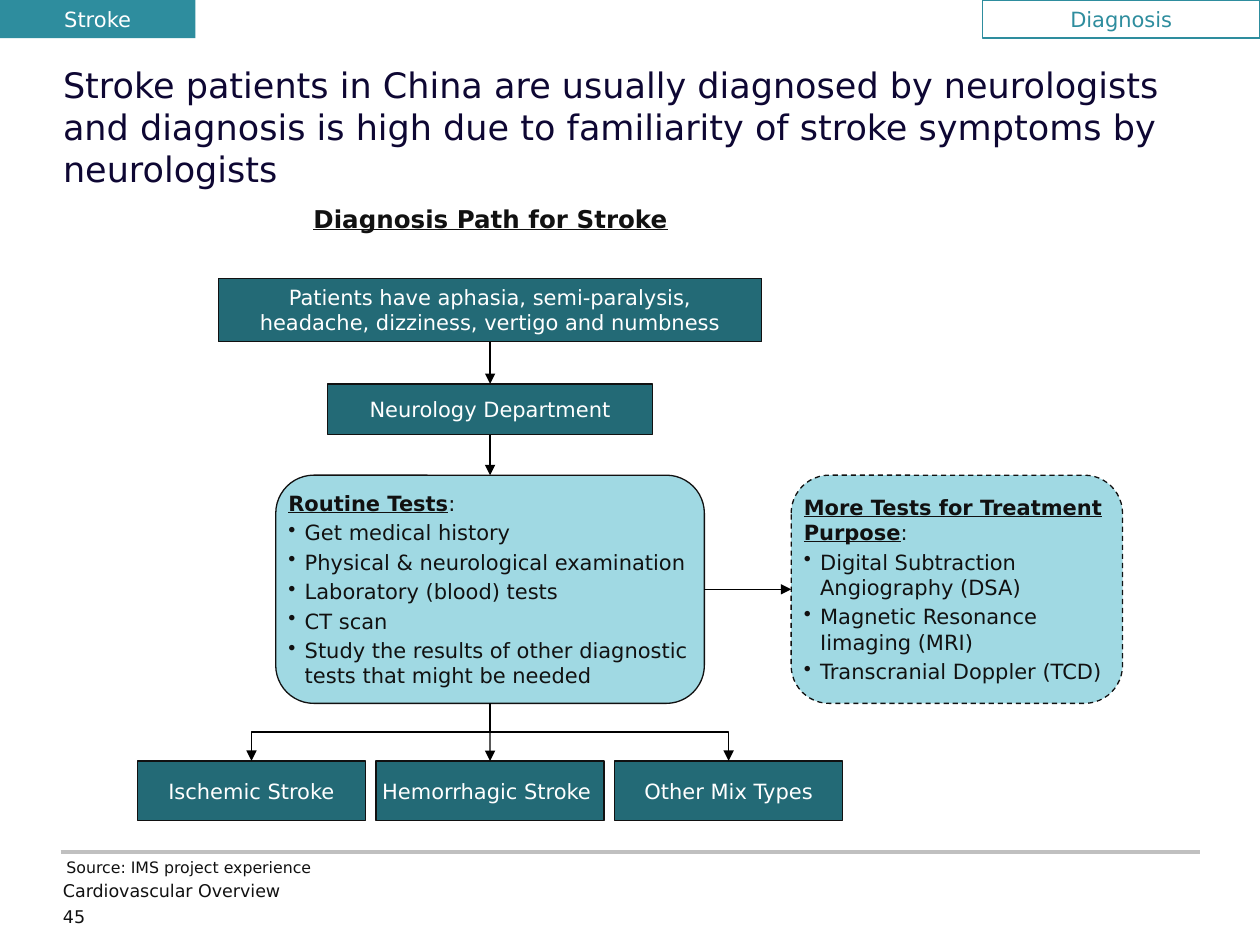
from typing import NamedTuple, Optional

from pptx import Presentation
from pptx.dml.color import RGBColor
from pptx.enum.dml import MSO_LINE as Dash
from pptx.enum.shapes import MSO_CONNECTOR as Link, MSO_SHAPE as Kind
from pptx.enum.text import MSO_ANCHOR as Anchor, MSO_AUTO_SIZE as Auto, PP_ALIGN as Align
from pptx.oxml.ns import qn
from pptx.util import Cm, Pt
from lxml.etree import SubElement

FONT = "DejaVu Sans"
TEAL = RGBColor(0x2E, 0x8D, 0x9E)
DEEP = RGBColor(0x23, 0x6A, 0x76)
PALE = RGBColor(0xA0, 0xD9, 0xE3)
NAVY = RGBColor(0x0E, 0x07, 0x33)
INK = RGBColor(0x11, 0x11, 0x11)
GRAY = RGBColor(0xC0, 0xC0, 0xC0)
BLACK = RGBColor(0, 0, 0)
WHITE = RGBColor(0xFF, 0xFF, 0xFF)

AXIS = 9.88  # centre line of the flow, cm
BOTTOM, LEFT, TOP, RIGHT = 2, 1, 0, 3


class Box(NamedTuple):
    text: str
    left: float
    top: float
    width: float
    height: float
    fill: Optional[RGBColor] = DEEP
    line: Optional[RGBColor] = INK
    color: RGBColor = WHITE
    inset: float = 0.03
    wrap: bool = True


class Panel(NamedTuple):
    head: str
    items: list[str]
    left: float
    width: float
    dash: bool = False


class Label(NamedTuple):
    text: str
    left: float
    top: float
    width: float
    height: float
    size: float
    bold: bool = False
    wrap: bool = True


def style(run, size: float, color: RGBColor, bold: bool = False) -> None:
    font = run.font
    font.name, font.size, font.bold = FONT, Pt(size), bold
    font.underline = bold
    font.color.rgb = color


def set_frame(frame, inset: float, anchor, wrap: bool = True) -> None:
    frame.margin_left = frame.margin_right = Cm(inset)
    frame.margin_top = frame.margin_bottom = Cm(inset)
    frame.vertical_anchor = anchor
    frame.word_wrap = wrap
    frame.auto_size = Auto.NONE


def add_base(slide, kind, left, top, width, height, fill, line):
    shape = slide.shapes.add_shape(kind, Cm(left), Cm(top), Cm(width), Cm(height))
    shape.shadow.inherit = False
    if fill is None:
        shape.fill.background()
    else:
        shape.fill.solid()
        shape.fill.fore_color.rgb = fill
    if line is None:
        shape.line.fill.background()
    else:
        shape.line.color.rgb = line
        shape.line.width = Pt(0.75)
    return shape


def add_box(slide, box: Box):
    shape = add_base(slide, Kind.RECTANGLE, box.left, box.top, box.width,
                     box.height, box.fill, box.line)
    frame = shape.text_frame
    set_frame(frame, box.inset, Anchor.MIDDLE, box.wrap)
    frame.text = box.text
    para = frame.paragraphs[0]
    para.alignment = Align.CENTER
    style(para.runs[0], 12, box.color)
    return shape


def add_panel(slide, panel: Panel):
    shape = add_base(slide, Kind.FLOWCHART_ALTERNATE_PROCESS, panel.left, 9.58,
                     panel.width, 4.6, PALE, INK)
    if panel.dash:
        shape.line.dash_style = Dash.DASH
    frame = shape.text_frame
    set_frame(frame, 0.03, Anchor.MIDDLE)
    para = frame.paragraphs[0]
    para.alignment = Align.LEFT
    for text, bold in ((panel.head, True), (":", False)):
        run = para.add_run()
        run.text = text
        style(run, 12, INK, bold)
    for item in panel.items:
        para = frame.add_paragraph()
        para.text = item
        para.alignment = Align.LEFT
        para.space_before = Pt(2.4)
        props = para._p.get_or_add_pPr()
        props.set("marL", str(Cm(0.33)))
        props.set("indent", str(-Cm(0.33)))
        SubElement(props, qn("a:buChar")).set("char", "•")
        style(para.runs[0], 12, INK)
    return shape


def add_label(slide, label: Label) -> None:
    shape = slide.shapes.add_textbox(Cm(label.left), Cm(label.top),
                                     Cm(label.width), Cm(label.height))
    frame = shape.text_frame
    set_frame(frame, 0, Anchor.TOP, label.wrap)
    frame.text = label.text
    style(frame.paragraphs[0].runs[0], label.size, INK, label.bold)


def add_line(slide, kind, ends, color=BLACK, width=0.75, arrow=True):
    line = slide.shapes.add_connector(kind, *(Cm(v) for v in ends))
    line.line.color.rgb = color
    line.line.width = Pt(width)
    if arrow:
        SubElement(line.line._get_or_add_ln(), qn("a:tailEnd")).set("type", "triangle")
    SubElement(line._element.spPr, qn("a:effectLst"))
    return line


def join(slide, start, out: int, end, into: int) -> None:
    line = add_line(slide, Link.STRAIGHT, (0, 0, 0, 0))
    line.begin_connect(start, out)
    line.end_connect(end, into)


def add_branch(slide, x: float, top: float, end_x: float, end_y: float) -> None:
    """Elbow that leaves downwards: its box is laid out sideways, then turned."""
    mid_x, mid_y = (x + end_x) / 2, (top + end_y) / 2
    half_w, half_h = (end_y - top) / 2, abs(end_x - x) / 2
    side = 1 if end_x < x else -1
    line = add_line(slide, Link.ELBOW, (mid_x - side * half_w, mid_y - half_h,
                                        mid_x + side * half_w, mid_y + half_h))
    turn = 90 if side == 1 else 270
    line._element.spPr.find(qn("a:xfrm")).set("rot", str(turn * 60000))


def main() -> None:
    deck = Presentation()
    deck.slide_width, deck.slide_height = Cm(25.4), Cm(19.05)
    slide = deck.slides.add_slide(deck.slide_layouts[5])

    # Title
    title = slide.shapes.title
    title.left, title.top, title.width, title.height = Cm(1.27), Cm(1.27), Cm(22.86), Cm(2.54)
    set_frame(title.text_frame, 0, Anchor.TOP)
    title.text_frame.text = ("Stroke patients in China are usually diagnosed by neurologists "
                             "and diagnosis is high due to familiarity of stroke symptoms "
                             "by neurologists")
    para = title.text_frame.paragraphs[0]
    para.alignment = Align.LEFT
    style(para.runs[0], 20, NAVY)

    # Corner tags
    add_box(slide, Box("Stroke", 0, 0, 3.94, 0.77, TEAL, None))
    add_box(slide, Box("Diagnosis", 19.81, 0, 5.59, 0.77, None, TEAL, TEAL, wrap=False))

    # Flow boxes
    signs = add_box(slide, Box("Patients have aphasia, semi-paralysis, headache, dizziness, "
                               "vertigo and numbness", AXIS - 5.48, 5.61, 10.96, 1.28,
                               inset=0.51))
    ward = add_box(slide, Box("Neurology Department", AXIS - 3.27, 7.74, 6.54, 1.02, inset=0.51))
    tests = add_panel(slide, Panel("Routine Tests", [
        "Get medical history",
        "Physical & neurological examination",
        "Laboratory (blood) tests",
        "CT scan",
        "Study the results of other diagnostic tests that might be needed",
    ], AXIS - 4.32, 8.64))
    more = add_panel(slide, Panel("More Tests for Treatment Purpose", [
        "Digital Subtraction Angiography (DSA)",
        "Magnetic Resonance Iimaging (MRI)",
        "Transcranial Doppler (TCD)",
    ], 15.95, 6.68, dash=True))
    kinds = [add_box(slide, Box(name, AXIS - 2.3 + 4.81 * step, 15.34, 4.6, 1.2))
             for step, name in enumerate(
                 ("Ischemic Stroke", "Hemorrhagic Stroke ", "Other Mix Types"), -1)]

    # Arrows
    join(slide, signs, BOTTOM, ward, TOP)
    join(slide, ward, BOTTOM, tests, TOP)
    join(slide, tests, RIGHT, more, LEFT)
    join(slide, tests, BOTTOM, kinds[1], TOP)
    for step in (-1, 1):
        add_branch(slide, AXIS, 14.18, AXIS + 4.81 * step, 15.34)

    # Heading and footer
    add_line(slide, Link.STRAIGHT, (1.22, 17.17, 24.2, 17.17), GRAY, 2, arrow=False)
    for label in (
        Label("Diagnosis Path for Stroke", 6.32, 4.11, 7.16, 0.6, 14, True, False),
        Label("Source: IMS project experience", 1.34, 17.3, 5.1, 0.38, 9, wrap=False),
        Label("Cardiovascular Overview", 1.27, 17.75, 16.97, 0.58, 10),
        Label("45", 1.27, 18.26, 1.22, 0.5, 10),
    ):
        add_label(slide, label)

    deck.save("out.pptx")


if __name__ == "__main__":
    main()
